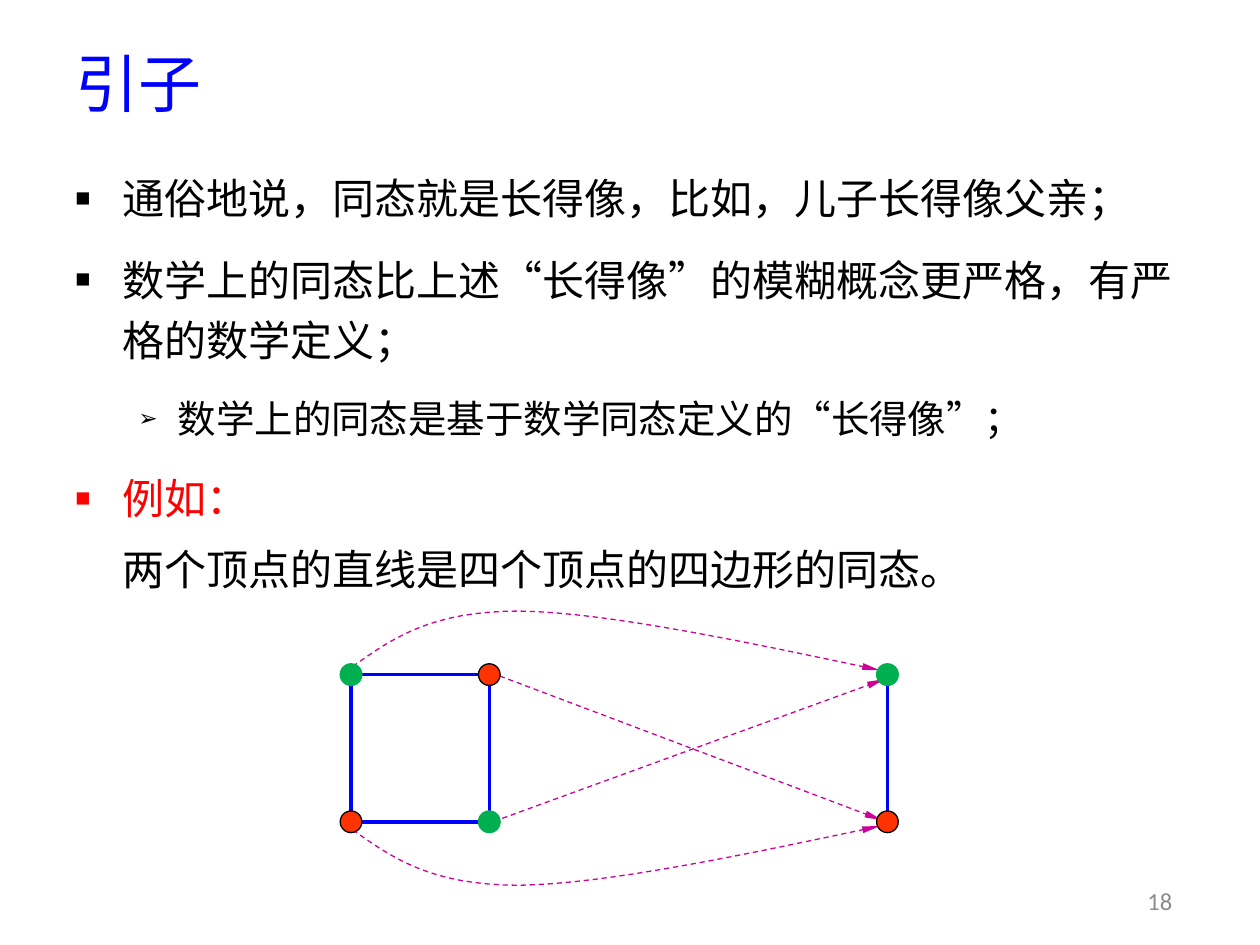
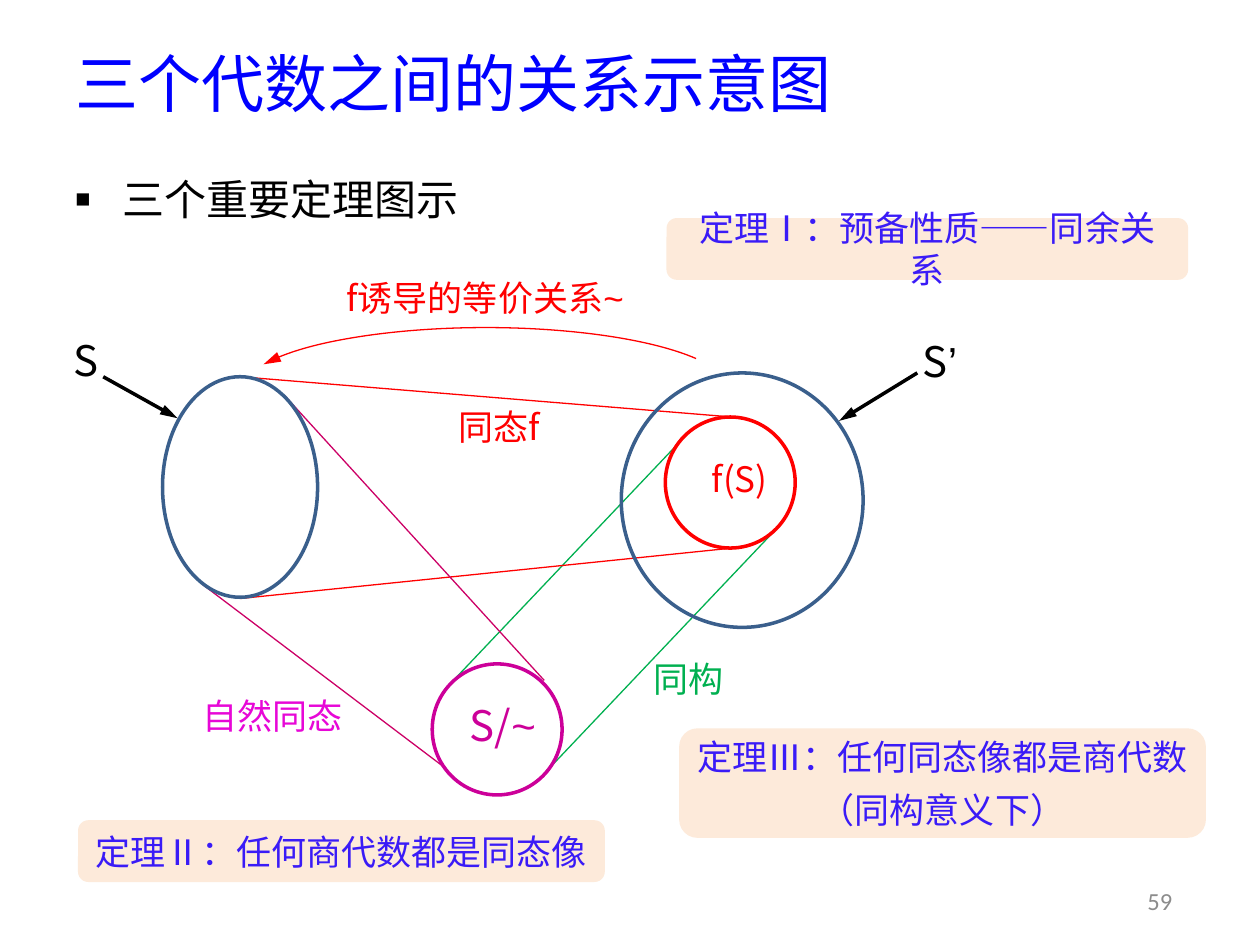
from itertools import product

from lxml.etree import SubElement
from pptx import Presentation
from pptx.dml.color import RGBColor
from pptx.enum.dml import MSO_LINE_DASH_STYLE as Dash
from pptx.enum.shapes import MSO_CONNECTOR as Connector, MSO_SHAPE as Preset
from pptx.enum.text import MSO_ANCHOR as Anchor, PP_ALIGN as Align
from pptx.oxml.ns import qn
from pptx.util import Pt

COLORS = {
    "title": "0000FF", "text": "000000", "number": "8C8C8C",
    "edge": "0000FF", "red_vertex": "FF3300", "green": "00B050",
    "red": "FF0000", "algebra": "3A5F8C", "quotient": "CC0099",
    "natural_line": "CC0066", "natural_label": "E707D7",
    "theorem": "3A1BF7", "theorem_fill": "FDEADA",
}
CJK = "Noto Sans CJK SC"
VERTEX_SIZE = 12.4


def rgb(name):
    return RGBColor.from_string(COLORS[name])


def apply_format(target, values):
    for name, value in values.items():
        setattr(target, name, value)


def add_run(paragraph, text, size, color, font=CJK):
    run = paragraph.add_run()
    run.text = text
    apply_format(run.font, {"size": Pt(size), "name": font})
    run.font.color.rgb = rgb(color)
    SubElement(run.font._element, qn("a:ea"), typeface=font)


def add_text(slide, box, runs, size, color, align=Align.CENTER, wrap=False):
    shape = slide.shapes.add_textbox(*map(Pt, box))
    frame = shape.text_frame
    apply_format(frame, {"word_wrap": wrap, "vertical_anchor": Anchor.MIDDLE})
    paragraph = frame.paragraphs[0]
    paragraph.alignment = align
    for text, font in runs:
        add_run(paragraph, text, size, color, font)


def add_label(slide, box, text, color, size=20, ending=""):
    runs = [(text, CJK)] + ([(ending, "Arial")] if ending else [])
    add_text(slide, box, runs, size, color)


def add_frame(presentation, title, number):
    slide = presentation.slides.add_slide(presentation.slide_layouts[6])
    add_text(slide, (36, 22.3, 648, 49.7), [(title, CJK)], 36, "title", Align.LEFT, True)
    add_text(slide, (641.5, 500.4, 42.5, 28.8), [(number, "Calibri")], 14, "number")
    return slide


def add_body(slide, box, items, spacing):
    frame = slide.shapes.add_textbox(*map(Pt, box)).text_frame
    frame.word_wrap = True
    for index, (text, bullet, color, after) in enumerate(items):
        paragraph = frame.paragraphs[0] if index == 0 else frame.add_paragraph()
        nested = bullet == "➢"
        apply_format(paragraph, {
            "level": int(nested), "line_spacing": spacing,
            "space_before": Pt(6), "space_after": Pt(after),
        })
        properties = paragraph._p.get_or_add_pPr()
        properties.set("marL", str(Pt(58.5 if nested else 27)))
        hanging = (22.5 if nested else 27) if bullet else 0
        properties.set("indent", str(-Pt(hanging)))
        if bullet:
            SubElement(properties, qn("a:buSzPct"), val="60000")
            SubElement(properties, qn("a:buFont"), typeface="Arial")
            SubElement(properties, qn("a:buChar"), char=bullet)
        add_run(paragraph, text, 22 if nested else 24, color)


def style_line(shape, color, width, head=None, dash=None):
    line = shape.line
    line.color.rgb = rgb(color)
    apply_format(line, {"width": Pt(width), "dash_style": dash})
    if head:
        SubElement(line._get_or_add_ln(), qn("a:tailEnd"), type="triangle", w=head, len="lg")


def add_line(slide, start, end, color, width=0.75, head=None, dash=None):
    connector = slide.shapes.add_connector(Connector.STRAIGHT, *map(Pt, (*start, *end)))
    style_line(connector, color, width, head, dash)
    SubElement(connector._element.spPr, qn("a:effectLst"))


def add_shape(slide, preset, box, fill=None, line=None, width=2.0):
    shape = slide.shapes.add_shape(preset, *map(Pt, box))
    shape.shadow.inherit = False
    if fill:
        shape.fill.solid()
        shape.fill.fore_color.rgb = rgb(fill)
    else:
        shape.fill.background()
    if line:
        style_line(shape, line, width)
    else:
        shape.line.fill.background()
    return shape


def bezier_points(controls, steps=16):
    weights = (1, 3, 3, 1)
    for step in range(1, steps + 1):
        t = step / steps
        yield tuple(
            Pt(sum(weight * (1 - t) ** (3 - i) * t ** i * point[axis]
                   for i, (weight, point) in enumerate(zip(weights, controls))))
            for axis in (0, 1)
        )


def add_curved_arrow(slide, points, color):
    builder = slide.shapes.build_freeform(*map(Pt, points[0]))
    for first in range(0, len(points) - 1, 3):
        builder.add_line_segments(bezier_points(points[first:first + 4]), close=False)
    shape = builder.convert_to_shape()
    shape.shadow.inherit = False
    shape.fill.background()
    style_line(shape, color, 0.75, "sm", Dash.DASH)


def add_vertex(slide, center, fill, line):
    box = [value - VERTEX_SIZE / 2 for value in center] + [VERTEX_SIZE] * 2
    add_shape(slide, Preset.FLOWCHART_CONNECTOR, box, fill, line, 0.75)


def add_theorem(slide, box, lines, after=0):
    shape = add_shape(slide, Preset.ROUNDED_RECTANGLE, box, "theorem_fill")
    frame = shape.text_frame
    apply_format(frame, {"word_wrap": True, "vertical_anchor": Anchor.MIDDLE})
    for index, text in enumerate(lines):
        paragraph = frame.paragraphs[0] if index == 0 else frame.add_paragraph()
        apply_format(paragraph, {"alignment": Align.CENTER, "space_after": Pt(after)})
        add_run(paragraph, text, 20, "theorem")


def add_homomorphism_graph(slide):
    left, right, image = 200.6, 279.6, 507.1
    top, bottom = 385.5, 469.6
    curve = [(201.6, 380.9), (223.9, 365), (246.2, 349.2), (296.6, 349.2),
             (346.3, 349.9), (424.8, 366.5), (502.6, 383)]
    mirrored = [(x, top + bottom - y) for x, y in curve]
    for points in (curve, mirrored):
        add_curved_arrow(slide, points, "quotient")
    for start, end in (((282.2, 469.4), (505.4, 388.1)), ((280.8, 384.5), (504, 468.7))):
        add_line(slide, start, end, "quotient", head="sm", dash=Dash.DASH)
    for x in (left, right, image):
        add_line(slide, (x, bottom), (x, top), "edge", 2)
    for y in (top, bottom):
        add_line(slide, (left, y), (right, y), "edge", 2)
    greens = {(left, top), (right, bottom), (image, top)}
    for center in product((left, right, image), (top, bottom)):
        colors = ("green", "green") if center in greens else ("red_vertex", "text")
        add_vertex(slide, center, *colors)


def add_algebra_diagram(slide):
    for start, end, color in (
        ((257.8, 390.2), (391, 249.8), "green"),
        ((310.3, 442.8), (443.5, 302.4), "green"),
        ((137.5, 215.3), (418.3, 238.3), "red"),
        ((137.5, 342), (418.3, 313.2), "red"),
        ((115.9, 334.1), (254.9, 439.2), "natural_line"),
        ((162.7, 226.1), (311, 388.8), "natural_line"),
    ):
        add_line(slide, start, end, color)
    for box, color in (
        ((380.2, 238.3, 74.2, 74.9), "red"),
        ((92.9, 215.3, 88.6, 126), "algebra"),
        ((355, 213.1, 138.2, 145.4), "algebra"),
        ((247, 379.4, 74.2, 74.9), "quotient"),
    ):
        add_shape(slide, Preset.OVAL, box, line=color)

    arc = add_shape(slide, Preset.ARC, (137.5, 187.2, 280.1, 72.7))
    arc.adjustments[0], arc.adjustments[1] = 113.29, 211.86
    arc._element.spPr.xfrm.set("flipH", "1")
    style_line(arc, "red", 0.75, "med")

    for start, end in (((524.2, 213.1), (479.5, 240.5)), ((59, 215.3), (101.5, 239))):
        add_line(slide, start, end, "text", 2, "med")

    height = 35.3
    add_label(slide, (364.3, 370.1, 58.3, height), "同构", "green")
    add_label(slide, (243.4, 226.1, 83.5, height), "同态f", "red")
    add_label(slide, (394.6, 255.6, 56.2, height), "f(S)", "red")
    add_label(slide, (98.6, 391, 114.5, height), "自然同态", "natural_label")
    add_label(slide, (30.2, 187.9, 37.4, height), "S", "text", 24)
    add_label(slide, (518.4, 188.6, 37.4, height), "S", "text", 24, "’")
    add_label(slide, (259.2, 396.7, 56.2, height), "S/", "quotient", 24, "~")
    add_label(slide, (184.3, 152.6, 185.8, height), "f诱导的等价关系", "red", ending="~")


def main():
    presentation = Presentation()
    apply_format(presentation, {"slide_width": Pt(720), "slide_height": Pt(540)})

    slide = add_frame(presentation, "引子", "18")
    add_body(slide, (36, 89.3, 648, 253.4), [
        ("通俗地说，同态就是长得像，比如，儿子长得像父亲；", "■", "text", 6),
        ("数学上的同态比上述“长得像”的模糊概念更严格，有严格的数学定义；", "■", "text", 6),
        ("数学上的同态是基于数学同态定义的“长得像”；", "➢", "text", 6),
        ("例如：", "■", "red", 0),
        ("两个顶点的直线是四个顶点的四边形的同态。", None, "text", 6),
    ], 1.2)
    add_homomorphism_graph(slide)

    slide = add_frame(presentation, "三个代数之间的关系示意图", "59")
    add_body(slide, (36, 92.9, 361.4, 41.8), [("三个重要定理图示", "■", "text", 6)], 1.1)
    add_algebra_diagram(slide)
    add_theorem(slide, (388.1, 416.2, 301, 62.6),
                ["定理Ⅲ：任何同态像都是商代数", "（同构意义下）"], after=6)
    add_theorem(slide, (380.9, 124.6, 298.1, 35.3), ["定理Ⅰ：预备性质——同余关系"])
    add_theorem(slide, (44.6, 468.7, 301, 35.3), ["定理Ⅱ：任何商代数都是同态像"])

    presentation.save("out.pptx")


if __name__ == "__main__":
    main()
